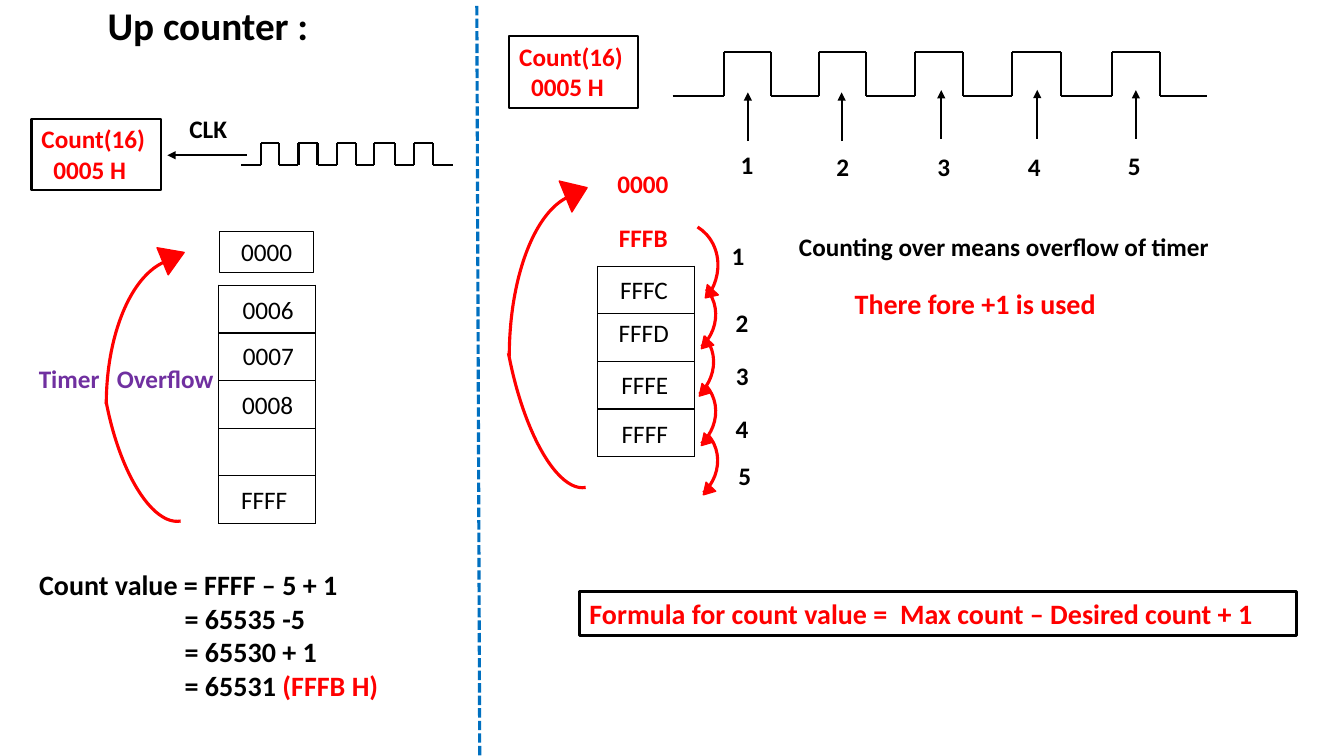
from lxml.etree import SubElement
from pptx import Presentation
from pptx.dml.color import RGBColor
from pptx.enum.dml import MSO_LINE
from pptx.enum.shapes import MSO_CONNECTOR, MSO_SHAPE
from pptx.enum.text import MSO_ANCHOR, PP_ALIGN
from pptx.oxml.ns import qn
from pptx.util import Pt

theme = {
    "font": "Calibri",
    "black": RGBColor(0x00, 0x00, 0x00),
    "red": RGBColor(0xFF, 0x00, 0x00),
    "purple": RGBColor(0x70, 0x30, 0xA0),
    "blue": RGBColor(0x00, 0x70, 0xC0),
    "body": Pt(18),
    "formula": Pt(20),
    "title": Pt(28),
}

presentation = Presentation()
presentation.slide_width = Pt(960)
presentation.slide_height = Pt(540)
slide = presentation.slides.add_slide(presentation.slide_layouts[6])


def write_lines(text_frame, lines, color="black", size="body", bold=True, alignment=PP_ALIGN.LEFT):
    for index, (indent, text, *accents) in enumerate(lines):
        paragraph = text_frame.paragraphs[0] if index == 0 else text_frame.add_paragraph()
        paragraph.alignment = alignment
        if indent:
            paragraph._p.get_or_add_pPr().set("marL", str(Pt(indent)))
        for words, shade in [(text, color)] + [(accent, "red") for accent in accents]:
            run = paragraph.add_run()
            run.text = words
            run.font.color.rgb = theme[shade]
            font_format = {"name": theme["font"], "size": theme[size], "bold": bold}
            for name, value in font_format.items():
                setattr(run.font, name, value)


def add_line(start_x, start_y, end_x, end_y, color="black", width=1.5, dash=None, arrow=False):
    connector = slide.shapes.add_connector(
        MSO_CONNECTOR.STRAIGHT, Pt(start_x), Pt(start_y), Pt(end_x), Pt(end_y))
    connector.line.color.rgb = theme[color]
    for name, value in {"width": Pt(width), "dash_style": dash}.items():
        setattr(connector.line, name, value)
    if arrow:
        SubElement(connector.line._get_or_add_ln(), qn("a:tailEnd"), type="triangle")
    SubElement(connector._element.spPr, qn("a:effectLst"))


row_height = 34.02
for left, top, row_count in [(156.2, 203.8, 5), (427, 190.1, 4)]:
    table = slide.shapes.add_table(
        row_count, 1, Pt(left), Pt(top), Pt(69.2), Pt(row_height * row_count)).table
    table.first_row = False
    table.horz_banding = False
    for row in range(row_count):
        table.rows[row].height = Pt(row_height)
        cell = table.cell(row, 0)
        for side in ("a:lnL", "a:lnR", "a:lnT", "a:lnB"):
            border = SubElement(cell._tc.get_or_add_tcPr(), qn(side), w=str(Pt(1)))
            fill = SubElement(border, qn("a:solidFill"))
            SubElement(fill, qn("a:srgbClr"), val=str(theme["black"]))
        cell.fill.background()

clocks = [
    (172.3, 323.3, 102.3, 118.2,
     [(186.5, 199.5), (213.2, 226.8), (240.5, 254.2), (267.1, 282.2), (295.9, 309.6)]),
    (480.4, 862.5, 37.4, 68.4,
     [(517, 550.8), (584.8, 618.5), (653.6, 687.6), (722.9, 758.2), (794.2, 828.7)]),
]
for start, end, high, low, pulses in clocks:
    previous_fall = start
    for rise, fall in pulses:
        add_line(previous_fall, low, rise, low)
        add_line(rise, low, rise, high)
        add_line(rise, high, fall, high)
        add_line(fall, high, fall, low)
        previous_fall = fall
    add_line(previous_fall, low, end, low)

add_line(176.4, 110.9, 119.5, 110.9, arrow=True)
add_line(340.6, 4.3, 342.7, 544.3, "blue", 2.25, MSO_LINE.SQUARE_DOT)

arc, triangle = MSO_SHAPE.ARC, MSO_SHAPE.ISOSCELES_TRIANGLE
curves = [
    (arc, 74.9, 183.6, 74.2, 190.1, 169.7),
    (arc, 24.8, 235.8, 208.1, 105.8, 270),
    (triangle, 113.4, 175.2, 20.9, 16.6, 67.7),
    (arc, 362.2, 137.5, 74.2, 212.4, 169.7),
    (arc, 300.4, 201.6, 232.6, 105.8, 270),
    (triangle, 399.8, 128.9, 23.8, 16.6, 67.7),
    (arc, 447.8, 157, 64.1, 70.6, 31.4),
    (triangle, 501.1, 205.9, 10.8, 7.9, 222.9),
]
for left, top in [(452.2, 195.8), (450.7, 229.7), (452.2, 265), (453.6, 300.2)]:
    curves.append((arc, left, top, 57.6, 62.6, 48.7))
    curves.append((triangle, left + 46.8, top + 46.4, 9.4, 7.9, 222.9))
for preset, left, top, width, height, rotation in curves:
    shape = slide.shapes.add_shape(preset, Pt(left), Pt(top), Pt(width), Pt(height))
    shape.shadow.inherit = False
    shape.rotation = rotation
    shape.line.color.rgb = theme["red"]
    if preset == arc:
        shape.adjustments[0] = 162
        shape.adjustments[1] = 214.147
        shape.fill.background()
        shape.line.width = Pt(2.25)
    else:
        shape.fill.solid()
        shape.fill.fore_color.rgb = theme["red"]
        shape.line.width = Pt(1)

count_lines = [(0, "Count(16)"), (8.5, "0005 H")]
calculation_lines = [
    (0, "Count value = FFFF – 5 + 1"),
    (104, "= 65535 -5"),
    (104, "= 65530 + 1"),
    (104, "= 65531 ", "(FFFB H)"),
]
red = {"color": "red"}
purple = {"color": "purple"}
red_formula = {"color": "red", "size": "formula"}
centered = {"bold": False, "alignment": PP_ALIGN.CENTER}
labels = [
    (69.8, -2.9, 290, 41, 0, [(0, "Up counter :")], {"size": "title"}),
    (22.5, 84.8, 92.2, 51, 1.5, count_lines, red),
    (363.8, 25.9, 92.2, 51, 1.5, count_lines, red),
    (128.2, 77.5, 42, 29, 0, [(0, "CLK")], {}),
    (157, 165.4, 67, 29, 0.75, [(0, "0000")], centered),
    (20.6, 256.3, 60, 29, 0, [(0, "Timer")], purple),
    (76.3, 256.3, 90, 29, 0, [(0, "Overflow")], purple),
    (20.9, 401.8, 261.4, 104.4, 0, calculation_lines, {"size": "formula"}),
    (434, 116.6, 56, 29, 0, [(0, "0000")], red),
    (435, 155, 56, 29, 0, [(0, "FFFB")], red),
    (563.6, 161.5, 313.2, 29, 0, [(0, "Counting over means overflow of timer")], {}),
    (603.4, 200.9, 300, 31.7, 0, [(0, "There fore +1 is used")], red_formula),
    (414, 422.6, 512, 31.7, 2.25,
     [(0, "Formula for count value =  Max count – Desired count + 1")], red_formula),
]

register_values = [
    ("0006", 191.5, 206.8), ("0007", 191.8, 239.8),
    ("0008", 191.2, 274.4), ("FFFF", 188.7, 342.7),
    ("FFFC", 460, 192.4), ("FFFD", 459.8, 223.2),
    ("FFFE", 460.6, 260), ("FFFF", 460.6, 295.2),
]
for value, center, top in register_values:
    labels.append((center - 31, top, 62, 29, 0, [(0, value)], centered))

pulse_arrows = [(534.2, 100.8), (601.2, 100.8), (672.3, 99.2), (740.9, 99), (811.4, 99.2)]
pulse_labels = [(522, 102.8), (590.4, 104.4), (662.4, 104.2), (727.2, 104.8), (798.6, 103.9)]
step_labels = [(515.6, 168.3), (518.4, 216), (518.6, 254), (518.4, 291.6), (520.3, 325)]
for arrow_x, arrow_bottom in pulse_arrows:
    add_line(arrow_x, arrow_bottom, arrow_x, arrow_bottom - 34.8, arrow=True)
for positions in (pulse_labels, step_labels):
    for number, (left, top) in enumerate(positions, start=1):
        labels.append((left, top, 41.8, 29, 0, [(0, str(number))], {}))

for left, top, width, height, outline, lines, text_format in labels:
    box = (Pt(left), Pt(top), Pt(width), Pt(height))
    if outline:
        shape = slide.shapes.add_shape(MSO_SHAPE.RECTANGLE, *box)
        shape.shadow.inherit = False
        shape.fill.background()
        shape.line.color.rgb = theme["black"]
        shape.line.width = Pt(outline)
    else:
        shape = slide.shapes.add_textbox(*box)
    for name, value in {"word_wrap": True, "vertical_anchor": MSO_ANCHOR.TOP}.items():
        setattr(shape.text_frame, name, value)
    write_lines(shape.text_frame, lines, **text_format)

presentation.save("out.pptx")
